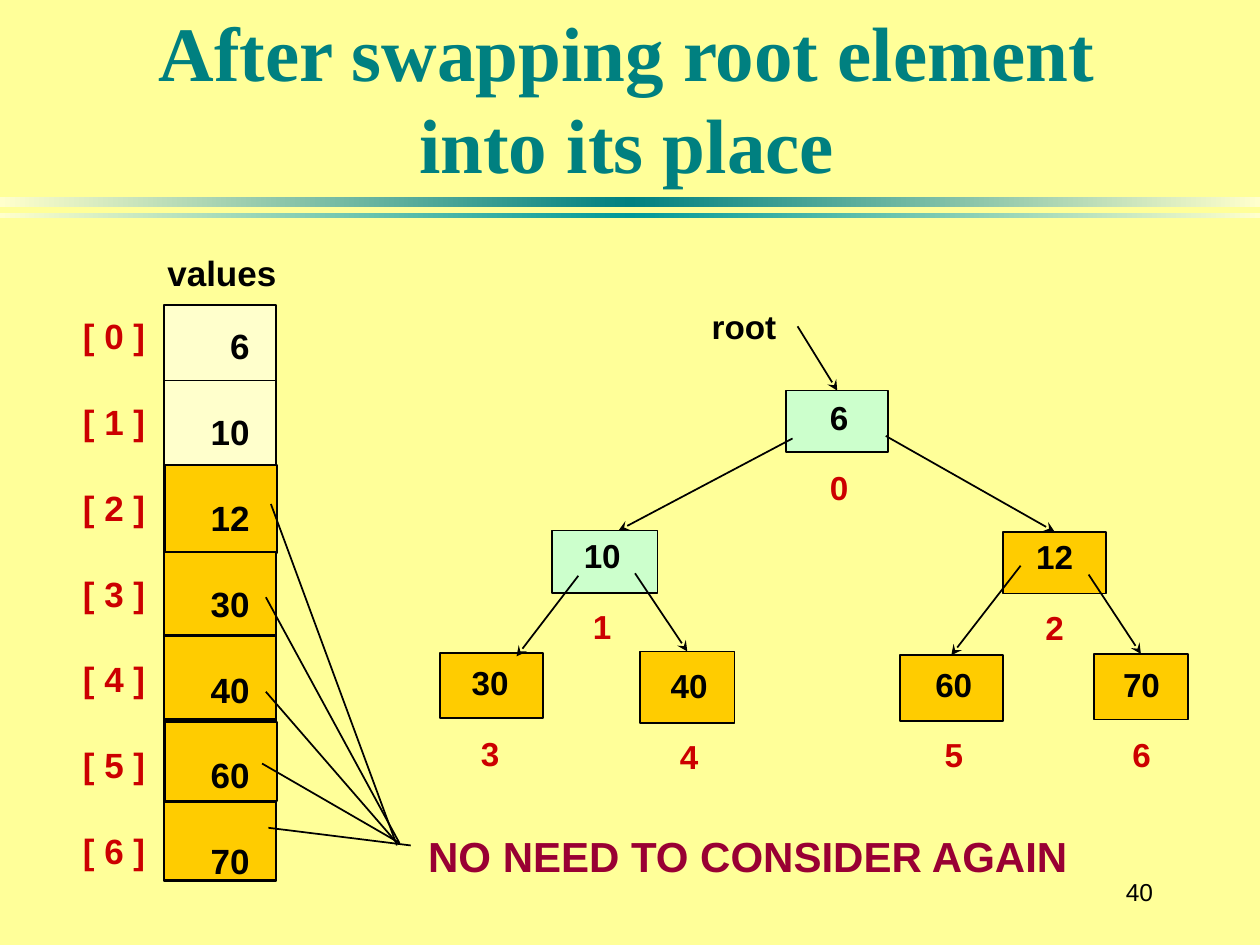
from copy import deepcopy
from dataclasses import dataclass
from typing import Optional

from lxml.etree import SubElement
from pptx import Presentation
from pptx.dml.color import RGBColor
from pptx.enum.shapes import MSO_CONNECTOR as Connector, MSO_SHAPE as Shape
from pptx.enum.text import MSO_ANCHOR as Anchor, PP_ALIGN as Align
from pptx.oxml.ns import qn
from pptx.util import Inches, Pt

BLACK, RED, MAROON, TEAL = "000000", "CC0000", "990033", "008080"
CREAM, GREEN, GOLD = "FFFFCC", "CCFFCC", "FFCC00"
Point = tuple[float, float]


@dataclass
class Node:
    value: int
    left: float
    top: float
    width: float
    height: float
    color: str
    center: float
    text_top: float


@dataclass
class Arrow:
    start: Point
    end: Point
    target: Optional[int] = None  # index of the node joined at its top side


NODES = [
    Node(6, 6.24, 3.1, 0.81, 0.49, GREEN, 6.66, 3.1),
    Node(10, 4.38, 4.21, 0.84, 0.5, GREEN, 4.78, 4.2),
    Node(12, 7.96, 4.22, 0.82, 0.49, GOLD, 8.37, 4.21),
    Node(30, 3.49, 5.18, 0.82, 0.52, GOLD, 3.89, 5.21),
    Node(40, 5.08, 5.17, 0.75, 0.57, GOLD, 5.47, 5.23),
    Node(60, 7.14, 5.2, 0.82, 0.52, GOLD, 7.57, 5.22),
    Node(70, 8.68, 5.19, 0.75, 0.52, GOLD, 9.06, 5.22),
]
ARROWS = [
    Arrow((6.33, 2.59), (6.6, 3.12), 0),
    Arrow((6.29, 3.48), (4.91, 4.21)),
    Arrow((7.03, 3.46), (8.33, 4.23), 2),
    Arrow((4.59, 4.57), (4.1, 5.21)),
    Arrow((5.04, 4.55), (5.51, 5.18), 4),
    Arrow((8.1, 4.49), (7.58, 5.16), 5),
    Arrow((8.64, 4.56), (9.11, 5.17), 6),
]
# Left, top and height of the cells that are already sorted
SORTED_CELLS = [(1.31, 3.69, 0.7), (1.3, 4.38, 0.66), (1.3, 5.05, 0.66),
                (1.31, 5.73, 0.63), (1.3, 6.37, 0.61)]
# Lines from the sorted cells to the remark
REMARK_LINES = [((2.15, 4), (3.15, 6.71)), ((2.11, 4.74), (3.17, 6.69)),
                ((2.11, 5.49), (3.15, 6.69)), ((2.08, 6.06), (3.17, 6.69)),
                ((2.13, 6.57), (3.26, 6.71))]


def rgb(color: str) -> RGBColor:
    return RGBColor.from_string(color)


def add_box(page, left: float, top: float, width: float, height: float, color: str):
    box = page.shapes.add_shape(Shape.RECTANGLE, Inches(left), Inches(top),
                                Inches(width), Inches(height))
    box.shadow.inherit = False
    box.fill.solid()
    box.fill.fore_color.rgb = rgb(color)
    box.line.color.rgb = rgb(BLACK)
    box.line.width = Pt(1)
    return box


def add_band(page, top: float, height: float, middle: str) -> None:
    band = add_box(page, 0, top, 10, height, middle)
    band.line.fill.background()
    band.fill.gradient()
    band.fill.gradient_angle = 0
    stops = band.fill.gradient_stops
    for stop, color, position in zip(stops, (CREAM, middle), (0, 0.5)):
        stop.color.rgb = rgb(color)
        stop.position = position
    stop_list = band._element.spPr.find(qn("a:gradFill")).find(qn("a:gsLst"))
    last = deepcopy(stop_list[0])
    last.set("pos", "100000")
    stop_list.append(last)


def add_line(page, start: Point, end: Point, arrow: bool = False):
    line = page.shapes.add_connector(Connector.STRAIGHT,
                                     *(Inches(value) for value in (*start, *end)))
    line.line.color.rgb = rgb(BLACK)
    line.line.width = Pt(1)
    if arrow:
        SubElement(line.line._get_or_add_ln(), qn("a:tailEnd"), type="stealth")
    SubElement(line._element.spPr, qn("a:effectLst"))
    return line


def add_text(page, left: float, top: float, width: float, height: float,
             lines: list[str], size: float, colors: list[str],
             align=Align.LEFT, anchor=Anchor.TOP, font: str = "Arial",
             bold: bool = True, before: float = 2, after: float = 0) -> None:
    box = page.shapes.add_textbox(Inches(left), Inches(top),
                                  Inches(width), Inches(height))
    frame = box.text_frame
    frame.word_wrap = True
    frame.vertical_anchor = anchor
    for index, line in enumerate(lines):
        para = frame.add_paragraph() if index else frame.paragraphs[0]
        para.text = line
        para.alignment = align
        para.space_before = Pt(before)
        para.space_after = Pt(after)
        para.font.name = font
        para.font.size = Pt(size)
        para.font.bold = bold
        para.font.color.rgb = rgb(colors[index % len(colors)])


def add_array(page) -> None:
    left, width = 1.3, 0.89
    add_box(page, left, 2.42, width, 4.57, CREAM)
    for row in range(6):
        y = 3.02 + 0.676 * row
        add_line(page, (left, y), (left + width, y))
    for cell_left, top, height in SORTED_CELLS:
        add_box(page, cell_left, top, width, height, GOLD)
    add_text(page, 1.23, 1.95, 1.2, 0.43, ["values"], 20, [BLACK])
    add_text(page, 0.56, 2.45, 0.8, 4.44,
             [f"[ {index} ]" for index in range(len(NODES))], 20, [RED], after=23)
    add_text(page, 1.38, 2.53, 0.7, 4.44, [str(node.value) for node in NODES],
             20, [BLACK], align=Align.RIGHT, after=23)


def add_tree(page) -> None:
    boxes = [add_box(page, node.left, node.top, node.width, node.height, node.color)
             for node in NODES]
    for arrow in ARROWS:
        line = add_line(page, arrow.start, arrow.end, arrow=True)
        if arrow.target is not None:
            line.end_connect(boxes[arrow.target], 0)
    for index, node in enumerate(NODES):
        add_text(page, node.center - 0.35, node.text_top, 0.7, 0.95,
                 [str(node.value), str(index)], 19, [BLACK, RED],
                 align=Align.CENTER, after=15.6)
    add_text(page, 5.55, 2.38, 0.9, 0.4, ["root"], 19, [BLACK])


def main() -> None:
    deck = Presentation()
    deck.slide_width, deck.slide_height = Inches(10), Inches(7.5)
    page = deck.slides.add_slide(deck.slide_layouts[6])
    page.background.fill.solid()
    page.background.fill.fore_color.rgb = rgb("FFFF99")

    # Title and divider
    add_band(page, 1.56, 0.08, TEAL)
    add_band(page, 1.69, 0.04, "009999")
    add_text(page, 0.32, 0.3, 9.31, 1.25,
             ["After swapping root element\vinto its place"], 44, [TEAL],
             align=Align.CENTER, anchor=Anchor.BOTTOM,
             font="Times New Roman", before=0)

    # Array on the left, heap on the right
    add_array(page)
    add_tree(page)

    # Remark on the sorted cells
    for start, end in REMARK_LINES:
        add_line(page, start, end)
    add_text(page, 3.3, 6.54, 5.4, 0.5, ["NO NEED TO CONSIDER AGAIN"], 24, [MAROON])

    # Page number
    add_text(page, 8.58, 6.83, 0.67, 0.5, ["40"], 14, [BLACK],
             align=Align.RIGHT, anchor=Anchor.MIDDLE, bold=False, before=0)

    deck.save("out.pptx")


if __name__ == "__main__":
    main()
